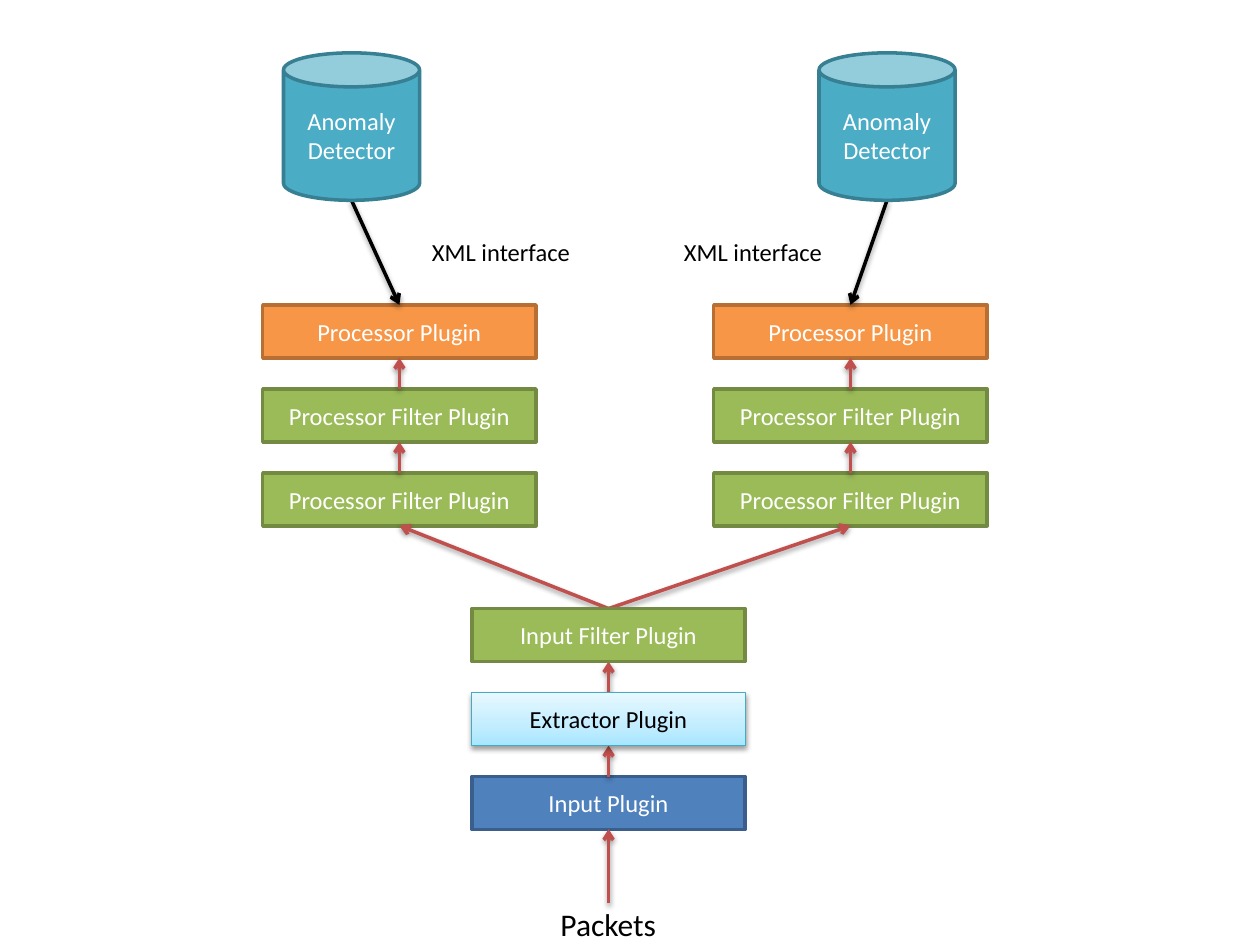
"""Draw a plugin pipeline that feeds packets to two anomaly detectors."""
from dataclasses import dataclass

from lxml.etree import SubElement
from pptx import Presentation
from pptx.dml.color import RGBColor
from pptx.enum.shapes import MSO_CONNECTOR as Connector, MSO_SHAPE as Shape
from pptx.enum.text import MSO_ANCHOR as Anchor, PP_ALIGN as Align
from pptx.oxml.ns import qn
from pptx.util import Inches, Pt

FONT = "Calibri"
BOX_WIDTH, BOX_HEIGHT = 2.17, 0.42
PITCH = 2 / 3
INPUT_X, LEFT_X, RIGHT_X = 4.83, 3.17, 6.75
PROCESSOR_TOP, INPUT_TOP = 2.42, 4.83
CAN_TOP, CAN_WIDTH, CAN_HEIGHT = 0.42, 1.08, 1.17
RED, BLACK, WHITE = "C0504D", "000000", "FFFFFF"


@dataclass
class Style:
    fill: str
    line: str
    text: str = WHITE
    line_width: float = 2


@dataclass
class Block:
    text: str
    center: float
    top: float
    style: Style
    width: float = BOX_WIDTH
    height: float = BOX_HEIGHT
    preset: Shape = Shape.RECTANGLE


@dataclass
class Arrow:
    start: tuple[float, float]
    end: tuple[float, float]
    color: str = RED


@dataclass
class Label:
    text: str
    left: float
    top: float
    width: float
    height: float
    size: int = 14


BLUE = Style("4F81BD", "3A5F8C")
GREEN = Style("9BBB59", "738A42")
ORANGE = Style("F79646", "B76F34")
TEAL = Style("4BACC6", "377F92")
PALE = Style("C1EDFF", "46AAC5", BLACK, 0.75)
PALE_STOPS = [(0, "A7E6FF"), (35, "C1EDFF"), (100, "E7F8FF")]


def rgb(color: str) -> RGBColor:
    return RGBColor.from_string(color)


def add_shadow(shape) -> None:
    properties = shape._element.spPr
    effects = properties.find(qn("a:effectLst"))
    if effects is None:
        effects = SubElement(properties, qn("a:effectLst"))
    shadow = SubElement(effects, qn("a:outerShdw"), blurRad=str(Pt(3.1)),
                        dist=str(Pt(1.6)), dir="5400000", rotWithShape="0")
    color = SubElement(shadow, qn("a:srgbClr"), val=BLACK)
    SubElement(color, qn("a:alpha"), val="38000")


def add_gradient(shape, stops: list[tuple[int, str]]) -> None:
    shape.fill.gradient()
    shape.fill.gradient_angle = 90
    stop_list = shape._element.spPr.find(qn("a:gradFill")).find(qn("a:gsLst"))
    for old_stop in list(stop_list):
        stop_list.remove(old_stop)
    for position, color in stops:
        stop = SubElement(stop_list, qn("a:gs"), pos=str(position * 1000))
        SubElement(stop, qn("a:srgbClr"), val=color)


def write(shape, text: str, size: int, color: str, align: Align) -> None:
    para = shape.text_frame.paragraphs[0]
    para.text = text
    para.alignment = align
    para.font.name = FONT
    para.font.size = Pt(size)
    para.font.color.rgb = rgb(color)


def draw_block(page, block: Block) -> None:
    style = block.style
    shape = page.shapes.add_shape(
        block.preset, Inches(block.center - block.width / 2), Inches(block.top),
        Inches(block.width), Inches(block.height))
    shape.line.color.rgb = rgb(style.line)
    shape.line.width = Pt(style.line_width)
    shape.shadow.inherit = False
    if style is PALE:
        add_gradient(shape, PALE_STOPS)
        add_shadow(shape)
    else:
        shape.fill.solid()
        shape.fill.fore_color.rgb = rgb(style.fill)
    shape.text_frame.word_wrap = True
    shape.text_frame.vertical_anchor = Anchor.MIDDLE
    write(shape, block.text, 14, style.text, Align.CENTER)


def draw_arrow(page, arrow: Arrow) -> None:
    points = [Inches(value) for value in (*arrow.start, *arrow.end)]
    connector = page.shapes.add_connector(Connector.STRAIGHT, *points)
    connector.line.color.rgb = rgb(arrow.color)
    connector.line.width = Pt(2)
    SubElement(connector.line._get_or_add_ln(), qn("a:tailEnd"), type="arrow")
    add_shadow(connector)


def draw_label(page, label: Label) -> None:
    box = page.shapes.add_textbox(Inches(label.left), Inches(label.top),
                                  Inches(label.width), Inches(label.height))
    box.text_frame.word_wrap = False
    write(box, label.text, label.size, BLACK, Align.LEFT)


def rise(center: float, top: float) -> Arrow:
    return Arrow((center, top + PITCH), (center, top + BOX_HEIGHT))


def main() -> None:
    deck = Presentation()
    deck.slide_width, deck.slide_height = Inches(10), Inches(7.5)
    page = deck.slides.add_slide(deck.slide_layouts[6])

    back = [Block("Input Plugin", INPUT_X, INPUT_TOP + 2 * PITCH, BLUE)]
    front = [Block("Input Filter Plugin", INPUT_X, INPUT_TOP, GREEN),
             Block("Extractor Plugin", INPUT_X, INPUT_TOP + PITCH, PALE)]
    arrows = [Arrow((INPUT_X, 7.17), (INPUT_X, 6.58))]
    arrows += [rise(INPUT_X, INPUT_TOP + row * PITCH) for row in range(2)]
    processors = [("Processor Plugin", ORANGE),
                  ("Processor Filter Plugin", GREEN),
                  ("Processor Filter Plugin", GREEN)]

    for center, can_center in ((LEFT_X, 2.79), (RIGHT_X, 7.04)):
        tops = [PROCESSOR_TOP + row * PITCH for row in range(len(processors))]
        back += [Block(text, center, top, style)
                 for (text, style), top in zip(processors, tops)]
        arrows += [rise(center, top) for top in tops[:-1]]
        arrows += [Arrow((INPUT_X, INPUT_TOP), (center, tops[-1] + BOX_HEIGHT)),
                   Arrow((can_center, CAN_TOP + CAN_HEIGHT),
                         (center, PROCESSOR_TOP), BLACK)]
        front.append(Block("Anomaly Detector", can_center, CAN_TOP, TEAL,
                           CAN_WIDTH, CAN_HEIGHT, Shape.CAN))

    labels = [Label("Packets", 4.35, 7.13, 0.97, 0.4, 18)]
    labels += [Label("XML interface", left, 1.83, 1.31, 0.34)
               for left in (3.33, 5.33)]

    for block in back:
        draw_block(page, block)
    for arrow in arrows:
        draw_arrow(page, arrow)
    for label in labels:
        draw_label(page, label)
    for block in front:
        draw_block(page, block)
    deck.save("out.pptx")


main()
